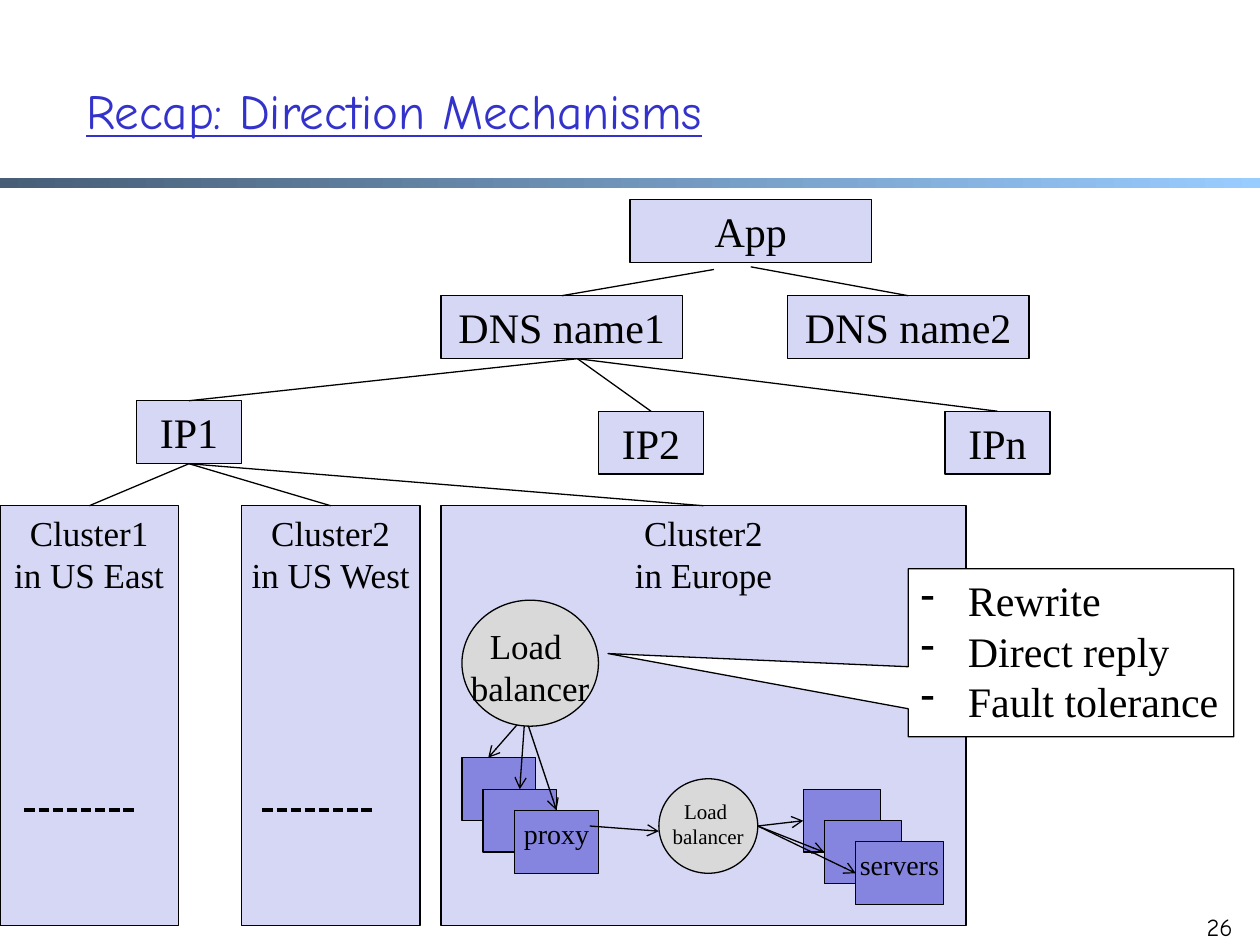
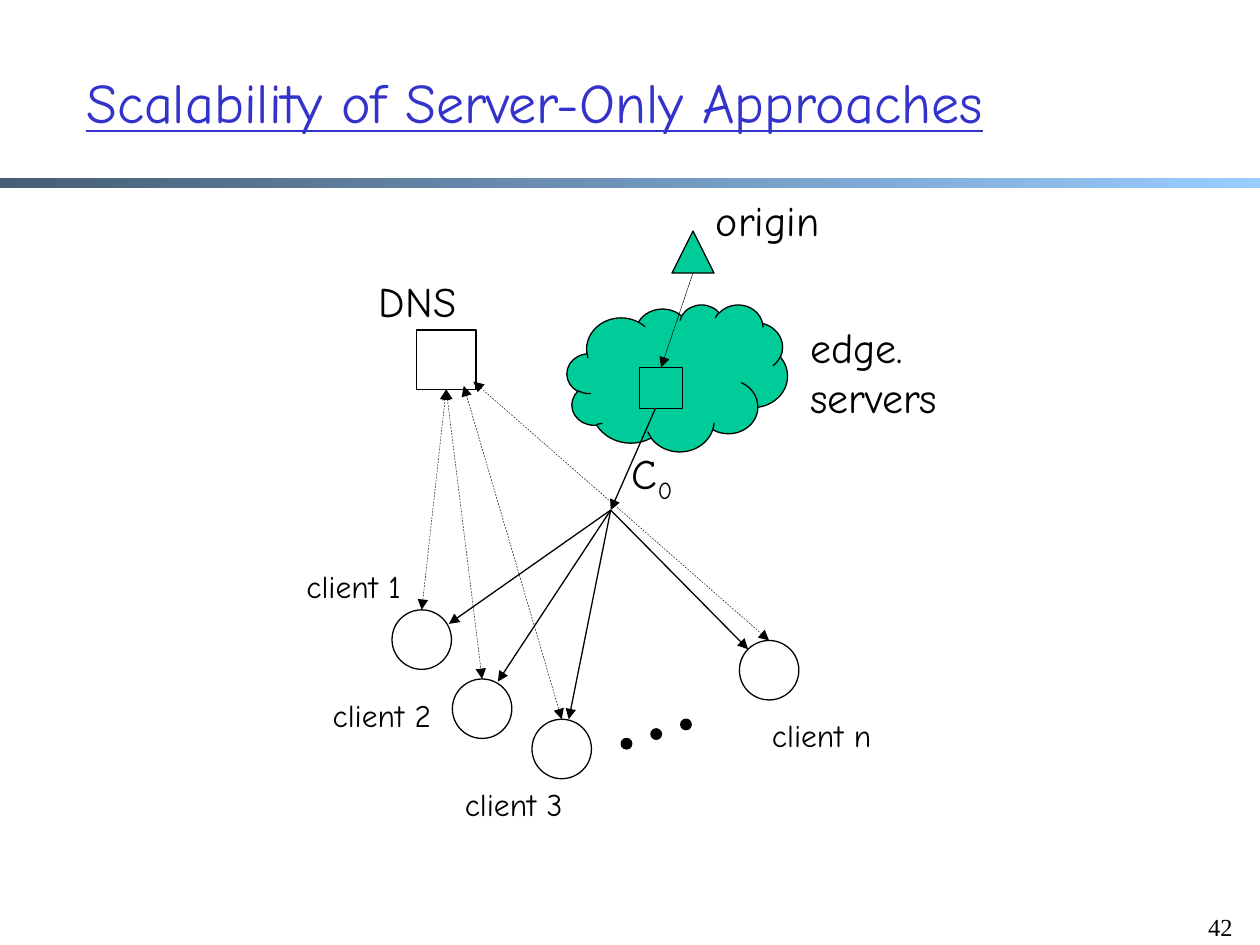
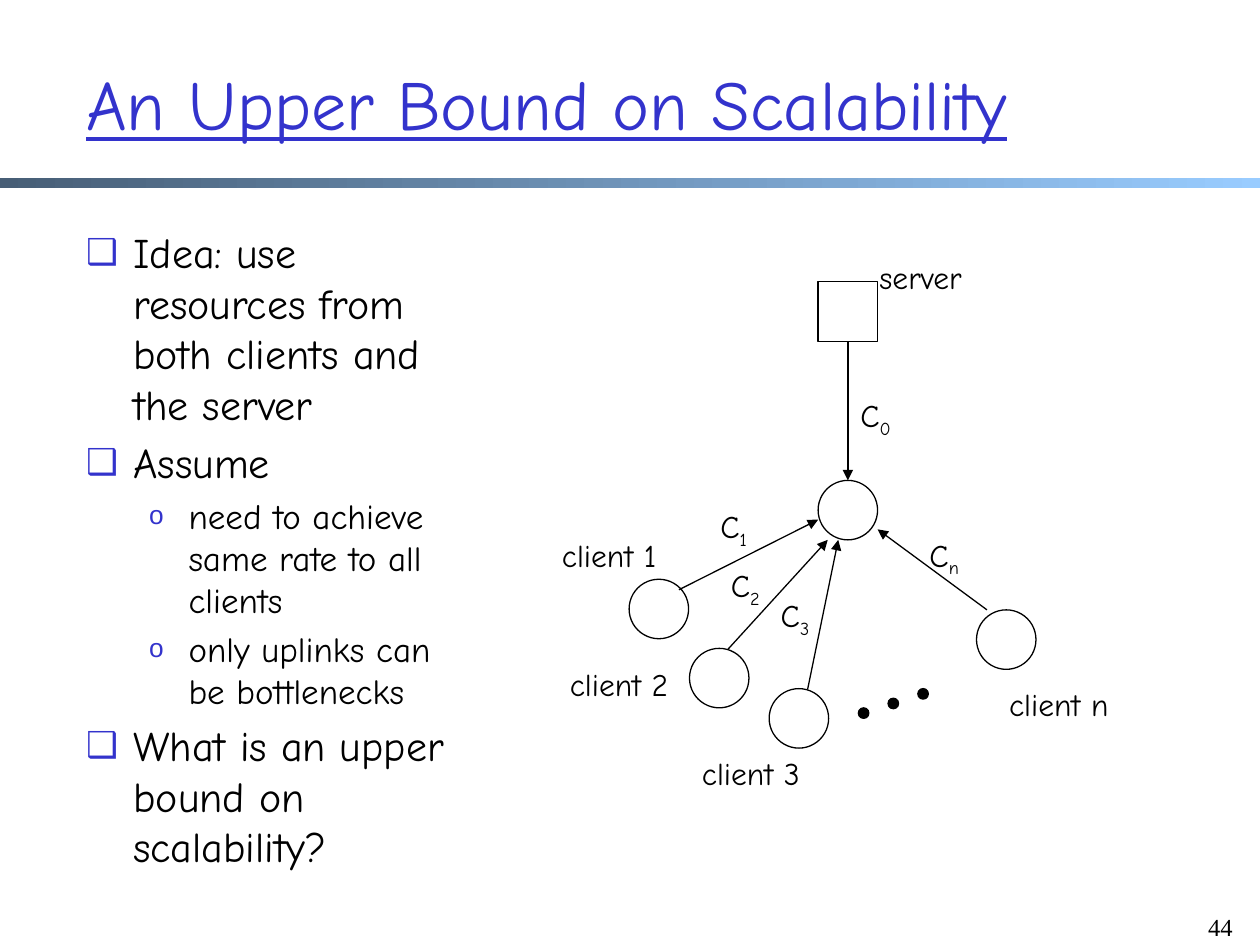
from lxml.etree import SubElement
from pptx import Presentation
from pptx.dml.color import RGBColor
from pptx.enum.dml import MSO_LINE
from pptx.enum.shapes import MSO_CONNECTOR, MSO_SHAPE as Shape
from pptx.enum.text import MSO_ANCHOR, MSO_AUTO_SIZE, PP_ALIGN
from pptx.oxml.ns import qn
from pptx.util import Pt

COMIC, TIMES = "Comic Neue", "Times New Roman"
BLACK, WHITE, BLUE = "000000", "FFFFFF", "3333CC"
LILAC, VIOLET, GREY, GREEN = "D6D6F5", "8585E0", "D9D9D9", "00CC99"
TOP, LEFT, BOTTOM = 0, 1, 2
TITLE_LEFT = 42
NODE = 34  # side of a server square or client circle


def rgb(color):
    return RGBColor.from_string(color)


def pts(*lengths):
    return [Pt(length) for length in lengths]


def set_font(font, name, size, color=BLACK):
    font.name, font.size = name, Pt(size)
    font.color.rgb = rgb(color)


def format_text(frame, name, size, align=PP_ALIGN.LEFT):
    for paragraph in frame.paragraphs:
        paragraph.alignment = align
        for run in paragraph.runs:
            set_font(run.font, name, size)


def set_bullet(paragraph, mark, margin, hang, color=None, percent=None):
    ppr = paragraph._p.get_or_add_pPr()
    ppr.set("marL", str(Pt(margin)))
    ppr.set("indent", str(Pt(-hang)))
    if color:
        SubElement(SubElement(ppr, qn("a:buClr")), qn("a:srgbClr"), val=color)
    if percent:
        SubElement(ppr, qn("a:buSzPct"), val=str(percent * 1000))
    SubElement(ppr, qn("a:buChar"), char=mark)


def add_figure(slide, kind, box, fill=None, text="", size=24, align=PP_ALIGN.CENTER):
    figure = slide.shapes.add_shape(kind, *pts(*box))
    figure.shadow.inherit = False
    if fill:
        figure.fill.solid()
        figure.fill.fore_color.rgb = rgb(fill)
    else:
        figure.fill.background()
    figure.line.color.rgb = rgb(BLACK)
    figure.line.width = Pt(0.75)
    if text:
        frame = figure.text_frame
        frame.word_wrap = False
        frame.vertical_anchor = MSO_ANCHOR.TOP
        frame.text = text
        format_text(frame, TIMES, size, align)
    return figure


def add_label(slide, box, text, size, subscript="", font=COMIC, align=PP_ALIGN.LEFT):
    frame = slide.shapes.add_textbox(*pts(*box)).text_frame
    frame.word_wrap = True
    frame.text = text
    if subscript:
        lowered = frame.paragraphs[0].add_run()
        lowered.text = subscript
        lowered._r.get_or_add_rPr().set("baseline", "-25000")
    format_text(frame, font, size, align)


def add_link(slide, start, end, width=0.75, dash=None, head=None, tail=None):
    """Each end is either a point (x, y) or a pair (shape, site)."""
    link = slide.shapes.add_connector(MSO_CONNECTOR.STRAIGHT, 0, 0, 0, 0)
    if isinstance(start[0], (int, float)):
        link.begin_x, link.begin_y = pts(*start)
    else:
        link.begin_connect(*start)
    if isinstance(end[0], (int, float)):
        link.end_x, link.end_y = pts(*end)
    else:
        link.end_connect(*end)
    link.line.color.rgb = rgb(BLACK)
    link.line.width = Pt(width)
    if dash:
        link.line.dash_style = dash
    properties = link._element.spPr
    outline = properties.find(qn("a:ln"))
    for tag, arrow in (("a:headEnd", head), ("a:tailEnd", tail)):
        if arrow:
            SubElement(outline, qn(tag), type=arrow)
    SubElement(properties, qn("a:effectLst"))


def new_slide(deck, layout, title, title_box, size, number, number_font=TIMES):
    slide = deck.slides.add_slide(deck.slide_layouts[layout])
    # Gradient band under the title
    band = slide.shapes.add_shape(Shape.RECTANGLE, *pts(0, 101.5, 720, 6))
    band.shadow.inherit = False
    band.line.fill.background()
    band.fill.gradient()
    band.fill.gradient_angle = 0
    for stop, color in zip(band.fill.gradient_stops, ("475E76", "99CCFF")):
        stop.color.rgb = rgb(color)
    # Title
    heading = slide.shapes.title
    heading.left, heading.top, heading.width, heading.height = pts(TITLE_LEFT, *title_box)
    frame = heading.text_frame
    frame.auto_size = MSO_AUTO_SIZE.NONE
    frame.vertical_anchor = MSO_ANCHOR.MIDDLE
    frame.text = title
    frame.paragraphs[0].alignment = PP_ALIGN.LEFT
    font = frame.paragraphs[0].runs[0].font
    set_font(font, COMIC, size, BLUE)
    font.underline = True
    # Page number
    add_label(slide, (675.5, 517.5, 36, 36), number, 14, font=number_font,
              align=PP_ALIGN.RIGHT)
    return slide


def add_stack(slide, left, top, width, text):
    """Three overlapping cards, the front one labelled."""
    return [add_figure(slide, Shape.RECTANGLE, (left + dx, top + dy, width + extra, 36),
                       VIOLET, label, 16)
            for dx, dy, extra, label in ((0, 0, 0, ""), (12, 18, 0, ""), (30, 30, 6, text))]


def add_node(slide, kind, left, top):
    return add_figure(slide, kind, (left, top, NODE, NODE))


def add_clients(slide, left, top, first_label_dx):
    """Client circles, their labels and the row of dots; returns the circles."""
    clients = [add_node(slide, Shape.OVAL, left + dx, top + dy)
               for dx, dy in ((0, 0), (34.5, 39.5), (80, 62.5), (198.5, 17.5))]
    labels = (("1", first_label_dx, -28), ("2", -41, 45.5), ("3", 34.5, 96.5), ("n", 210, 57))
    for name, dx, dy in labels:
        add_label(slide, (left + dx, top + dy, 79, 29), f"client {name}", 18)
    for i in range(3):
        add_figure(slide, Shape.OVAL, (left + 131 + 17 * i, top + 73.5 - 5.5 * i, 6, 6), BLACK)
    return clients


def build_mechanisms(deck):
    slide = new_slide(deck, 5, "Recap: Direction Mechanisms", (18, 648, 90), 28, "26", COMIC)

    # Clusters
    east, west, europe = [
        add_figure(slide, Shape.RECTANGLE, (left, 289, width, 240), LILAC, text, 20)
        for left, width, text in ((0, 102, "Cluster1\nin US East"),
                                  (138, 102, "Cluster2\nin US West"),
                                  (252, 300, "Cluster2\nin Europe"))]
    for left in (14, 150):
        add_link(slide, (left, 463), (left + 64, 463), 2, MSO_LINE.SQUARE_DOT)

    # Names and addresses
    app, name1, name2, ip1, ip2, ipn = [
        add_figure(slide, Shape.RECTANGLE, (left, top, width, 36), LILAC, text)
        for left, top, width, text in ((360, 114, 138, "App"),
                                       (252, 169, 138, "DNS name1"),
                                       (450, 169, 138, "DNS name2"),
                                       (78, 229, 60, "IP1"),
                                       (342, 235, 60, "IP2"),
                                       (540, 235, 60, "IPn"))]
    add_link(slide, (408, 154), (name1, TOP))
    add_link(slide, (429, 152.5), (name2, TOP))
    for address in (ip1, ip2, ipn):
        add_link(slide, (330, 205), (address, TOP))
    for cluster in (east, west, europe):
        add_link(slide, (ip1, BOTTOM), (cluster, TOP))

    # Proxies behind the first load balancer
    proxies = add_stack(slide, 264, 433, 42, "proxy")
    for end in ((279, 433), (proxies[1], TOP), (proxies[2], TOP)):
        add_link(slide, (300, 409), end, tail="arrow")
    add_figure(slide, Shape.OVAL, (264, 343, 78, 72), GREY, "Load \nbalancer", 20)

    # Servers behind the second load balancer
    add_figure(slide, Shape.OVAL, (376.5, 445, 56.5, 54), GREY, "Load \nbalancer", 12)
    add_link(slide, (337, 472), (376.5, 475), tail="arrow")
    for server in add_stack(slide, 459, 451, 44, "servers"):
        add_link(slide, (433, 472), (server, LEFT), tail="arrow")

    # Duties of the load balancer
    duties = add_figure(slide, Shape.RECTANGULAR_CALLOUT, (519, 325, 186, 96), WHITE,
                        "Rewrite\nDirect reply\nFault tolerance", 24, PP_ALIGN.LEFT)
    duties.adjustments[0], duties.adjustments[1] = -1.422, 0.005
    for duty in duties.text_frame.paragraphs:
        set_bullet(duty, "-", 27, 27)


def build_server_only(deck):
    slide = new_slide(deck, 5, "Scalability of Server-Only Approaches",
                      (24, 654, 68), 32, "42")

    # Origin and edge servers
    add_figure(slide, Shape.CLOUD, (324, 174, 126, 84), GREEN)
    edge = add_figure(slide, Shape.RECTANGLE, (365.5, 210, 24.5, 23.5))
    add_figure(slide, Shape.ISOSCELES_TRIANGLE, (384, 132, 24, 24), GREEN)
    add_link(slide, (396, 156), (edge, TOP), 0.25, tail="triangle")
    add_label(slide, (402, 107.5, 117, 37), "origin", 24)
    add_label(slide, (456, 180, 117, 66), "edge. servers", 24)

    # Shared uplink that fans out to the clients
    clients = add_clients(slide, 224, 348.5, -56)
    add_link(slide, (374.5, 233.5), (349, 291.5), tail="triangle")
    add_label(slide, (354, 252, 51, 29), "C", 24, "0")
    for end in ((256.5, 356.5), (284.5, 389.5), (325, 411), (427.5, 371)):
        add_link(slide, (349, 291.5), end, tail="triangle")

    # DNS lookups
    dns = add_node(slide, Shape.RECTANGLE, 238, 188.5)
    add_label(slide, (209.5, 154, 96.5, 29), "DNS", 24)
    starts = ((dns, BOTTOM), (dns, BOTTOM), (265, 220.5), (270.5, 218))
    for start, client in zip(starts, clients):
        add_link(slide, start, (client, TOP), 0.25, MSO_LINE.DASH, "triangle", "triangle")


def build_upper_bound(deck):
    slide = new_slide(deck, 1, "An Upper Bound on Scalability", (13.5, 612, 90), 40, "44")

    # Argument
    argument = slide.placeholders[1]
    argument.left, argument.top, argument.width, argument.height = pts(TITLE_LEFT, 126, 238, 366)
    frame = argument.text_frame
    frame.auto_size = MSO_AUTO_SIZE.NONE
    points = ((0, "Idea: use resources from both clients and the server"),
              (0, "Assume"),
              (1, "need to achieve same rate to all clients"),
              (1, "only uplinks can be bottlenecks"),
              (0, "What is an upper bound on scalability?"))
    frame.text = "\n".join(text for _, text in points)
    styles = (("❑", 27, 27, BLUE, 85), 24), (("o", 58.5, 22.5, BLUE, 75), 20)
    for i, (paragraph, (level, _)) in enumerate(zip(frame.paragraphs, points)):
        bullet, size = styles[level]
        paragraph.level = level
        paragraph.space_before = Pt(0.2 * size if i else 0)
        set_bullet(paragraph, *bullet)
        set_font(paragraph.runs[0].font, COMIC, size)

    # Server, hub and clients
    server = add_node(slide, Shape.RECTANGLE, 467.5, 161)
    hub = add_node(slide, Shape.OVAL, 467.5, 274.5)
    add_label(slide, (495.5, 144, 96.5, 29), "server", 18)
    add_clients(slide, 359.5, 331, -45.5)

    # Links and their capacities
    links = (((server, BOTTOM), (hub, TOP), "0", (484.5, 223)),
             ((388, 337), (467.5, 297), "1", (404.5, 286)),
             ((416, 371), (473, 308.5), "2", (410.5, 320)),
             ((461.5, 394), (479, 308.5), "3", (439, 337)),
             ((564, 348.5), (501.5, 302.5), "n", (524, 302.5)))
    for start, end, index, corner in links:
        add_link(slide, start, end, tail="triangle")
        add_label(slide, (*corner, 51, 29), "C", 18, index)


def main():
    deck = Presentation()
    deck.slide_width, deck.slide_height = pts(720, 540)
    build_mechanisms(deck)
    build_server_only(deck)
    build_upper_bound(deck)
    deck.save("out.pptx")


if __name__ == "__main__":
    main()
